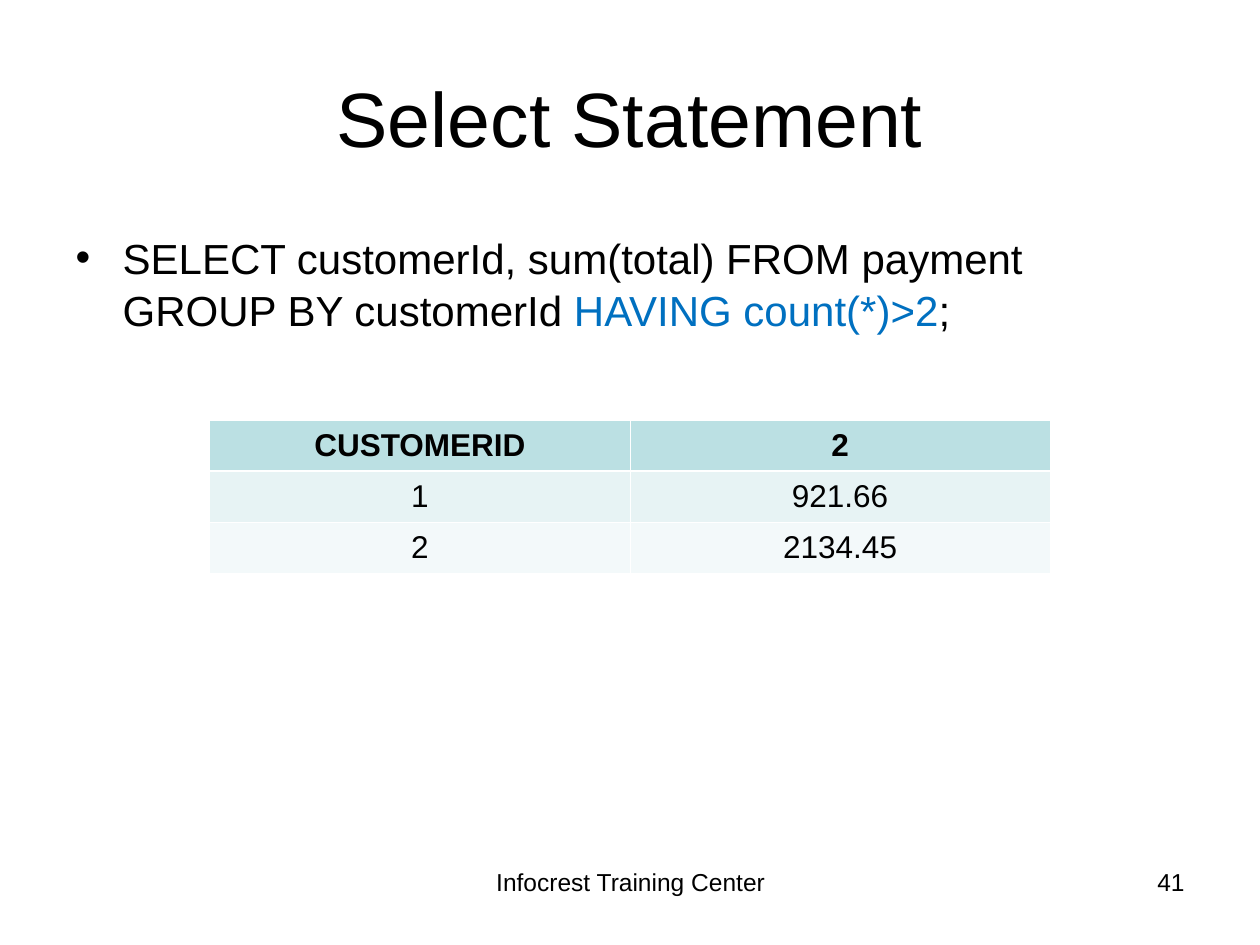
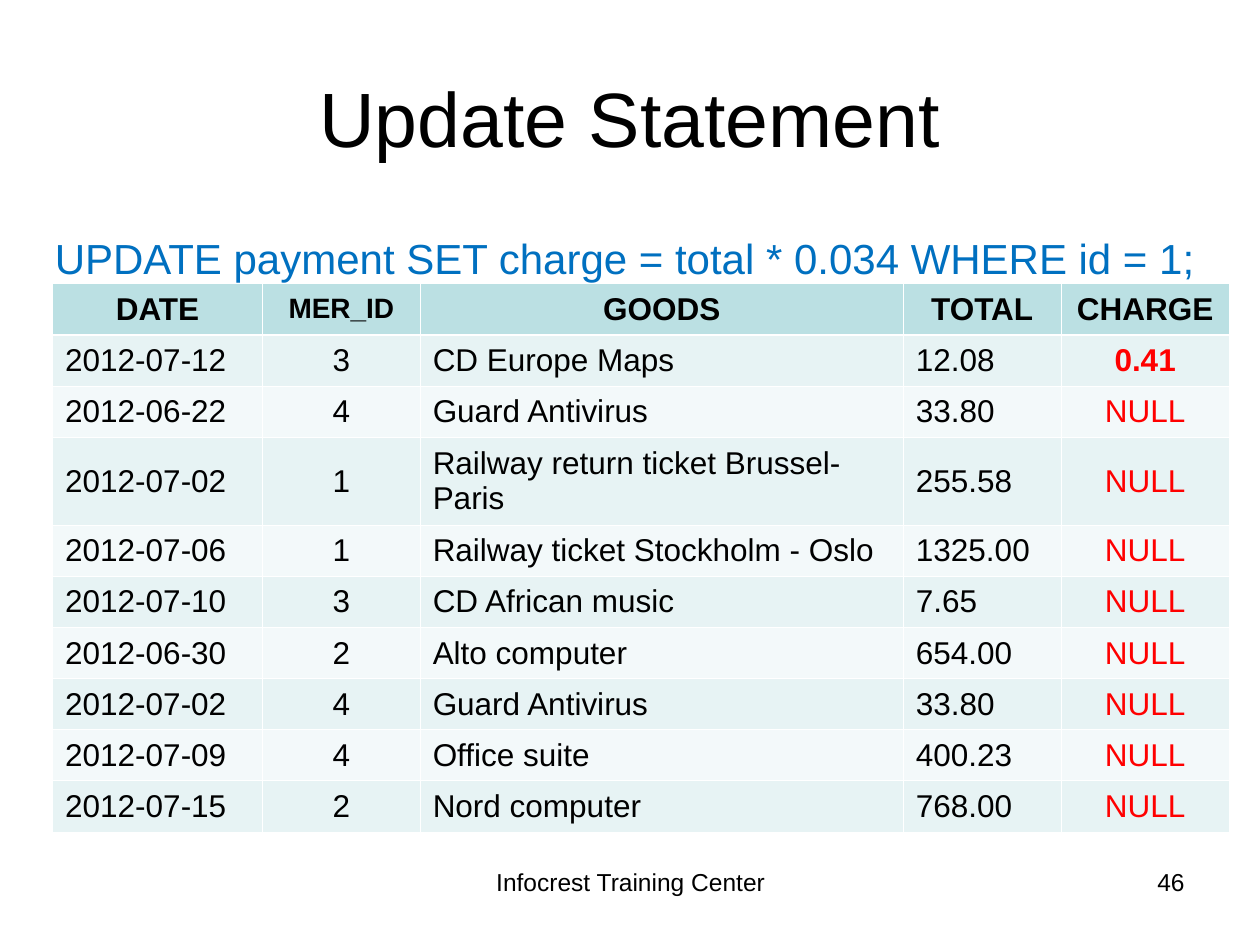
from dataclasses import dataclass
from pptx import Presentation
from pptx.dml.color import RGBColor
from pptx.enum.text import MSO_ANCHOR, MSO_AUTO_SIZE, PP_ALIGN
from pptx.oxml import parse_xml
from pptx.oxml.ns import nsdecls
from pptx.util import Cm, Pt


@dataclass(frozen=True)
class Theme:
    font: str = "Arial"
    ink: str = "000000"
    keyword: str = "0070C0"
    alert: str = "FF0000"
    header: str = "BBE0E3"
    bands: tuple = ("E7F3F4", "F3F9FA")
    rule: str = "FFFFFF"
    thin: float = 0.45
    thick: float = 1.47
    title: int = 44
    body: int = 24
    cell: int = 18
    small_header: int = 16
    footer: int = 14


THEME = Theme()
LEFT, CENTER, RIGHT = PP_ALIGN.LEFT, PP_ALIGN.CENTER, PP_ALIGN.RIGHT
TITLE_AREA = (1.27, 0.76, 22.86, 3.18)
FOOTER_AREA = (8.69, 17.35, 8.05, 1.32)
NUMBER_AREA = (18.21, 17.35, 5.92, 1.32)
FOOTER = "Infocrest Training Center"
ROW_HEIGHT, TALL_ROW_HEIGHT = 1.03, 1.78
INDENT = 0.95

SLIDES = [
    {
        "title": "Select Statement",
        "number": "41",
        "query": [
            ("SELECT customerId, sum(total) FROM payment GROUP BY customerId ", THEME.ink),
            ("HAVING count(*)>2", THEME.keyword),
            (";", THEME.ink),
        ],
        "query_area": (1.27, 4.5, 22.86, 12.52),
        "bullet": True,
        "table_at": (4.23, 8.47),
        "columns": [("CUSTOMERID", 8.47, CENTER), ("2", 8.47, CENTER)],
        "rows": [("1", "921.66"), ("2", "2134.45")],
        "tall_rows": (),
    },
    {
        "title": "Update Statement",
        "number": "46",
        "query": [("UPDATE payment SET charge = total * 0.034 WHERE id = 1;", THEME.keyword)],
        "query_area": (0.85, 4.5, 23.92, 12.52),
        "bullet": False,
        "table_at": (1.06, 5.72),
        "columns": [
            ("DATE", 4.23, LEFT),
            ("MER_ID", 3.18, CENTER),
            ("GOODS", 9.74, LEFT),
            ("TOTAL", 3.18, LEFT),
            ("CHARGE", 3.39, CENTER),
        ],
        "rows": [
            ("2012-07-12", "3", "CD Europe Maps", "12.08", "0.41"),
            ("2012-06-22", "4", "Guard Antivirus", "33.80", "NULL"),
            ("2012-07-02", "1", "Railway return ticket Brussel-Paris", "255.58", "NULL"),
            ("2012-07-06", "1", "Railway ticket Stockholm - Oslo", "1325.00", "NULL"),
            ("2012-07-10", "3", "CD African music", "7.65", "NULL"),
            ("2012-06-30", "2", "Alto computer", "654.00", "NULL"),
            ("2012-07-02", "4", "Guard Antivirus", "33.80", "NULL"),
            ("2012-07-09", "4", "Office suite", "400.23", "NULL"),
            ("2012-07-15", "2", "Nord computer", "768.00", "NULL"),
        ],
        "tall_rows": (3,),
    },
]


def style(run, size, color=THEME.ink, bold=False):
    run.font.name = THEME.font
    run.font.size = Pt(size)
    run.font.bold = bold
    run.font.color.rgb = RGBColor.from_string(color)


def write(frame, text, size, align, color=THEME.ink, bold=False):
    frame.text = text
    frame.word_wrap = True
    paragraph = frame.paragraphs[0]
    paragraph.alignment = align
    style(paragraph.runs[0], size, color, bold)


def move(placeholder, area):
    placeholder.left, placeholder.top, placeholder.width, placeholder.height = map(Cm, area)
    placeholder.text_frame.auto_size = MSO_AUTO_SIZE.NONE


def add_title(slide, text):
    heading = slide.shapes.title
    move(heading, TITLE_AREA)
    heading.text_frame.vertical_anchor = MSO_ANCHOR.MIDDLE
    write(heading.text_frame, text, THEME.title, CENTER)


def add_query(slide, content):
    query = slide.placeholders[1]
    move(query, content["query_area"])
    paragraph = query.text_frame.paragraphs[0]
    properties = paragraph._p.get_or_add_pPr()
    properties.set("marL", str(Cm(INDENT)))
    properties.set("indent", str(-Cm(INDENT)))
    mark = 'buChar %s char="•"' if content["bullet"] else "buNone %s"
    properties.append(parse_xml(f"<a:{mark % nsdecls('a')}/>"))
    paragraph.space_before = Pt(0)
    paragraph.line_spacing = 1.05
    for text, color in content["query"]:
        run = paragraph.add_run()
        run.text = text
        style(run, THEME.body, color)


def add_footer(slide, area, text, align):
    footer = slide.shapes.add_textbox(*map(Cm, area))
    write(footer.text_frame, text, THEME.footer, align)


def set_borders(cell, row):
    widths = {"L": THEME.thin, "R": THEME.thin,
              "T": THEME.thick if row == 1 else THEME.thin,
              "B": THEME.thick if row == 0 else THEME.thin}
    properties = cell._tc.get_or_add_tcPr()
    for position, (side, width) in enumerate(widths.items()):
        properties.insert(position, parse_xml(
            f'<a:ln{side} {nsdecls("a")} w="{int(Pt(width))}"><a:solidFill>'
            f'<a:srgbClr val="{THEME.rule}"/></a:solidFill></a:ln{side}>'))


def fill_cell(cell, row, text, name, align):
    is_header = row == 0
    is_charge = name == "CHARGE" and not is_header
    cell.fill.solid()
    cell.fill.fore_color.rgb = RGBColor.from_string(
        THEME.header if is_header else THEME.bands[(row - 1) % 2])
    cell.vertical_anchor = MSO_ANCHOR.MIDDLE
    write(cell.text_frame, text,
          THEME.small_header if text == "MER_ID" else THEME.cell,
          CENTER if is_header else align,
          THEME.alert if is_charge else THEME.ink,
          is_header or (is_charge and text != "NULL"))
    set_borders(cell, row)


def add_records(slide, content):
    columns = content["columns"]
    rows = [[name for name, _, _ in columns], *content["rows"]]
    heights = [TALL_ROW_HEIGHT if i in content["tall_rows"] else ROW_HEIGHT
               for i in range(len(rows))]
    width = sum(column_width for _, column_width, _ in columns)
    area = (*content["table_at"], width, sum(heights))
    records = slide.shapes.add_table(len(rows), len(columns), *map(Cm, area)).table
    for column, (_, column_width, _) in zip(records.columns, columns):
        column.width = Cm(column_width)
    for i, (values, height) in enumerate(zip(rows, heights)):
        records.rows[i].height = Cm(height)
        for j, (text, (name, _, align)) in enumerate(zip(values, columns)):
            fill_cell(records.cell(i, j), i, text, name, align)


def main():
    deck = Presentation()
    deck.slide_width, deck.slide_height = Cm(25.4), Cm(19.05)
    for content in SLIDES:
        slide = deck.slides.add_slide(deck.slide_layouts[1])
        add_title(slide, content["title"])
        add_query(slide, content)
        add_footer(slide, FOOTER_AREA, FOOTER, CENTER)
        add_footer(slide, NUMBER_AREA, content["number"], RIGHT)
        add_records(slide, content)
    deck.save("out.pptx")


if __name__ == "__main__":
    main()
